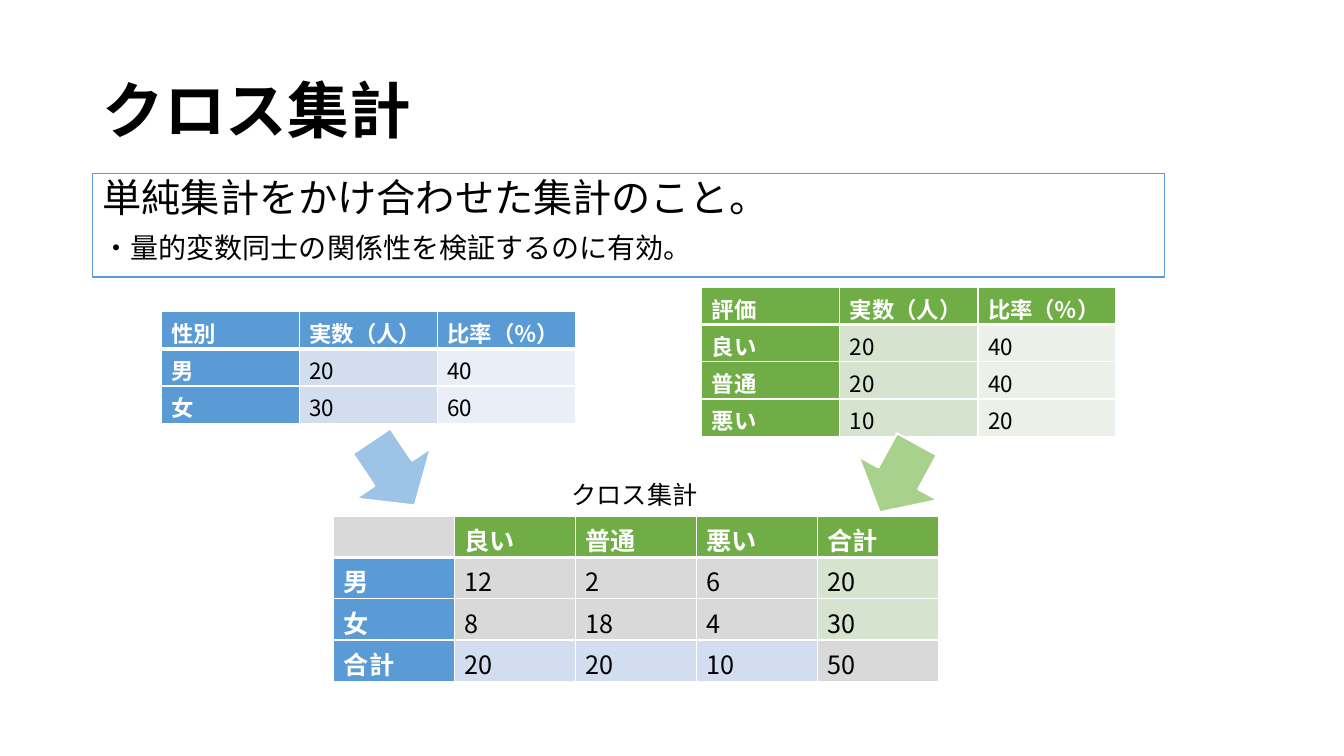
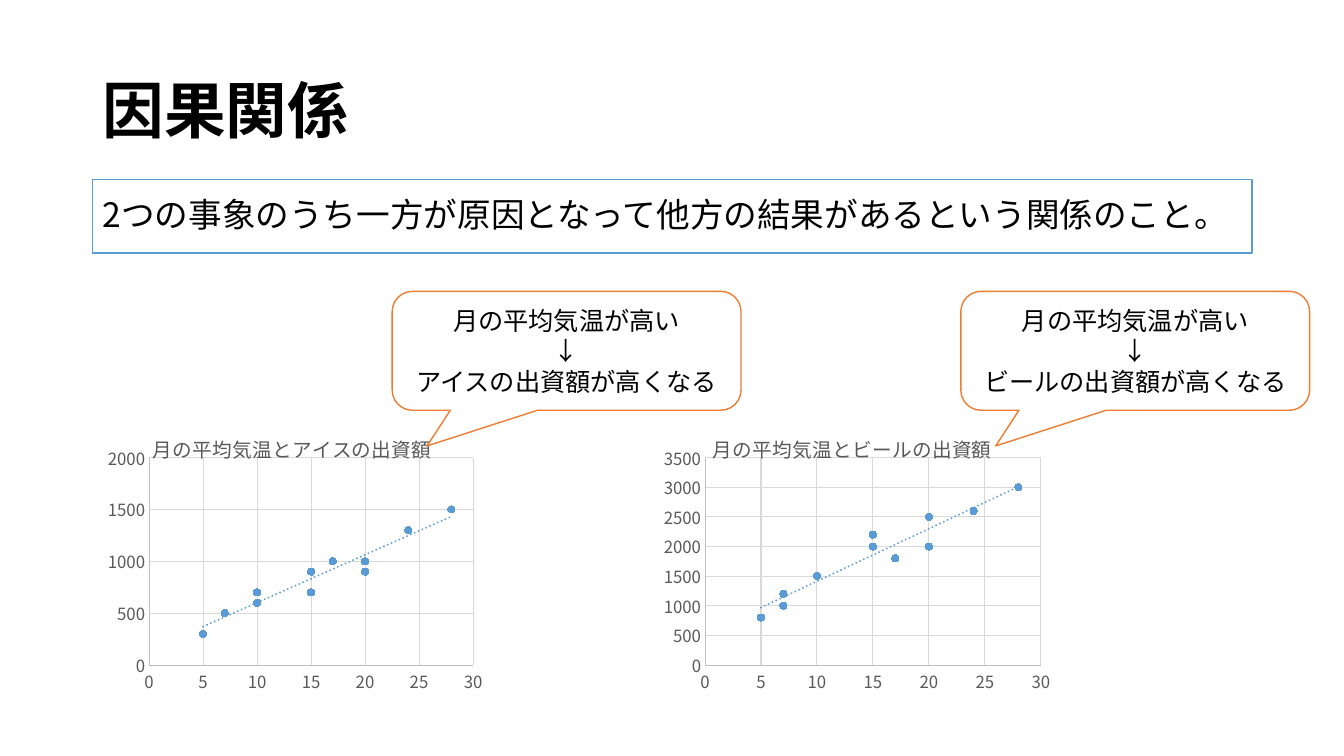
import dataclasses
import typing

import lxml.etree
import pptx
import pptx.chart.data
import pptx.dml.color
import pptx.enum.chart
import pptx.enum.dml
import pptx.enum.shapes
import pptx.enum.text
import pptx.oxml
import pptx.oxml.ns
import pptx.util

Inches = pptx.util.Inches
Pt = pptx.util.Pt
RGBColor = pptx.dml.color.RGBColor
Anchor = pptx.enum.text.MSO_ANCHOR
Align = pptx.enum.text.PP_ALIGN
Preset = pptx.enum.shapes.MSO_SHAPE
qn = pptx.oxml.ns.qn

FONT = "Noto Sans CJK JP"
BLACK = RGBColor(0x00, 0x00, 0x00)
WHITE = RGBColor(0xFF, 0xFF, 0xFF)
BLUE = RGBColor(0x5B, 0x9B, 0xD5)
BLUE_MID = RGBColor(0xD2, 0xDE, 0xEF)
BLUE_PALE = RGBColor(0xEA, 0xEF, 0xF7)
BLUE_ARROW = RGBColor(0x9D, 0xC3, 0xE6)
GREEN = RGBColor(0x70, 0xAD, 0x47)
GREEN_MID = RGBColor(0xD5, 0xE3, 0xCF)
GREEN_PALE = RGBColor(0xEB, 0xF1, 0xE9)
GREEN_ARROW = RGBColor(0xA9, 0xD1, 0x8E)
ORANGE = RGBColor(0xED, 0x7D, 0x31)
GREY = RGBColor(0xD9, 0xD9, 0xD9)
AXIS_GREY = RGBColor(0xBF, 0xBF, 0xBF)
LABEL_GREY = RGBColor(0x59, 0x59, 0x59)

Fills = tuple[tuple[RGBColor, ...], ...]
Rows = tuple[tuple[str, ...], ...]


@dataclasses.dataclass(frozen=True)
class Box:
    left: float
    top: float
    width: float
    height: float

    def emu(self) -> tuple[int, int, int, int]:
        return tuple(Inches(side) for side in dataclasses.astuple(self))


@dataclasses.dataclass(frozen=True)
class Tally:
    left: float
    top: float
    column_width: float
    row_height: float
    size: int
    rows: Rows
    fills: Fills


@dataclasses.dataclass(frozen=True)
class Arrow:
    box: Box
    rotation: float
    fill: RGBColor


@dataclasses.dataclass(frozen=True)
class Scatter:
    product: str
    box: Box
    title_x: float
    callout_left: float
    maximum: int
    temperatures: tuple[int, ...]
    amounts: tuple[int, ...]


def style_font(font: typing.Any, size: float, color: RGBColor, bold: bool = False) -> None:
    font.size = Pt(size)
    font.bold = bold
    font.color.rgb = color
    font.name = FONT
    lxml.etree.SubElement(font._rPr, qn("a:ea")).set("typeface", FONT)


def write(frame: typing.Any, *lines: str, sizes: tuple[float, ...] = (18,),
          color: RGBColor = BLACK, bold: bool = False, align: Align = Align.LEFT,
          anchor: Anchor | None = Anchor.TOP, wrap: bool = True,
          line_spacing: float | None = None, gap: float = 0) -> None:
    if anchor is not None:
        frame.vertical_anchor = anchor
        frame.word_wrap = wrap
    for index, line in enumerate(lines):
        paragraph = frame.add_paragraph() if index else frame.paragraphs[0]
        paragraph.alignment = align
        if line_spacing:
            paragraph.line_spacing = line_spacing
        if index and gap:
            paragraph.space_before = Pt(gap)
        run = paragraph.add_run()
        run.text = line
        style_font(run.font, sizes[min(index, len(sizes) - 1)], color, bold)


def add_outline(slide: typing.Any, preset: Preset, box: Box, line: RGBColor,
                width: float = 1, fill: RGBColor | None = None) -> typing.Any:
    shape = slide.shapes.add_shape(preset, *box.emu())
    shape.shadow.inherit = False
    if fill is None:
        shape.fill.background()
    else:
        shape.fill.solid()
        shape.fill.fore_color.rgb = fill
    shape.line.color.rgb = line
    shape.line.width = Pt(width)
    return shape


def add_titled_slide(deck: typing.Any, title: str) -> typing.Any:
    slide = deck.slides.add_slide(deck.slide_layouts[6])
    heading = slide.shapes.add_textbox(*Box(0.92, 0.4, 11.5, 1.45).emu())
    write(heading.text_frame, title, sizes=(44,), bold=True,
          anchor=Anchor.MIDDLE, line_spacing=0.9)
    return slide


def add_definition(slide: typing.Any, box: Box, *lines: str,
                   sizes: tuple[float, ...], anchor: Anchor) -> None:
    definition = add_outline(slide, Preset.RECTANGLE, box, BLUE)
    write(definition.text_frame, *lines, sizes=sizes, anchor=anchor,
          line_spacing=0.9, gap=10)


def set_borders(cell: typing.Any, top: float, bottom: float) -> None:
    properties = cell._tc.get_or_add_tcPr()
    for side, width in (("L", 1), ("R", 1), ("T", top), ("B", bottom)):
        border = lxml.etree.SubElement(properties, qn(f"a:ln{side}"), w=str(Pt(width)))
        solid = lxml.etree.SubElement(border, qn("a:solidFill"))
        lxml.etree.SubElement(solid, qn("a:srgbClr"), val=str(WHITE))


def add_tally(slide: typing.Any, tally: Tally) -> None:
    row_count, column_count = len(tally.rows), len(tally.rows[0])
    box = Box(tally.left, tally.top, tally.column_width * column_count,
              tally.row_height * row_count)
    table = slide.shapes.add_table(row_count, column_count, *box.emu()).table
    table.horz_banding = False
    for column in table.columns:
        column.width = Inches(tally.column_width)
    for r, (texts, fills) in enumerate(zip(tally.rows, tally.fills)):
        table.rows[r].height = Inches(tally.row_height)
        for c, (text, fill) in enumerate(zip(texts, fills)):
            cell = table.cell(r, c)
            set_borders(cell, 3 if r == 1 else 1, 3 if r == 0 else 1)
            cell.fill.solid()
            cell.fill.fore_color.rgb = fill
            heading = fill in (BLUE, GREEN)
            if text:
                write(cell.text_frame, text, sizes=(tally.size,), anchor=None,
                      color=WHITE if heading else BLACK, bold=heading)


def simple_tally(left: float, top: float, subject: str, counts: Rows,
                 shades: tuple[RGBColor, RGBColor, RGBColor]) -> Tally:
    rows = ((subject, "実数（人）", "比率（％）"),) + counts
    fills = ((shades[0],) * 3,) + (shades,) * len(counts)
    return Tally(left, top, 1.37, 0.37, 16, rows, fills)


def place(parent: typing.Any, x: float, y: float,
          size: tuple[float, float] | None = None) -> typing.Any:
    layout = lxml.etree.Element(qn("c:layout"))
    manual = lxml.etree.SubElement(layout, qn("c:manualLayout"))
    values = {"xMode": "edge", "yMode": "edge", "x": x, "y": y}
    if size:
        values = {"layoutTarget": "inner"} | values | {"w": size[0], "h": size[1]}
    for tag, value in values.items():
        lxml.etree.SubElement(manual, qn(f"c:{tag}"), val=str(value))
    for old in parent.findall(qn("c:layout")):
        parent.remove(old)
    return layout


def add_trend(series: typing.Any) -> None:
    trend = pptx.oxml.parse_xml(
        f'<c:trendline {pptx.oxml.ns.nsdecls("c", "a")}><c:spPr>'
        f'<a:ln w="{Pt(1.5)}" cap="rnd"><a:solidFill><a:srgbClr val="{BLUE}"/></a:solidFill>'
        '<a:prstDash val="sysDot"/></a:ln></c:spPr><c:trendlineType val="linear"/>'
        '<c:dispRSqr val="0"/><c:dispEq val="0"/></c:trendline>')
    series._element.find(qn("c:xVal")).addprevious(trend)


def style_axis(axis: typing.Any, maximum: int, step: int) -> None:
    axis.minimum_scale = 0
    axis.maximum_scale = maximum
    axis.major_unit = step
    axis.major_tick_mark = axis.minor_tick_mark = pptx.enum.chart.XL_TICK_MARK.NONE
    axis.has_major_gridlines = True
    for line, color in ((axis.format.line, AXIS_GREY),
                        (axis.major_gridlines.format.line, GREY)):
        line.color.rgb = color
        line.width = Pt(0.75)
    style_font(axis.tick_labels.font, 12, LABEL_GREY)


def add_scatter(slide: typing.Any, scatter: Scatter) -> None:
    data = pptx.chart.data.XyChartData()
    points = data.add_series("Series 1")
    for temperature, amount in zip(scatter.temperatures, scatter.amounts):
        points.add_data_point(temperature, amount)
    chart = slide.shapes.add_chart(pptx.enum.chart.XL_CHART_TYPE.XY_SCATTER,
                                   *scatter.box.emu(), data).chart
    style_font(chart.font, 10, BLACK)
    chart.has_legend = False
    chart.has_title = True
    write(chart.chart_title.text_frame, f"月の平均気温と{scatter.product}の出資額",
          sizes=(14,), color=LABEL_GREY, anchor=None, align=Align.CENTER)
    title = chart.chart_title._element
    title_layout = place(title, scatter.title_x, 0.06)
    title.find(qn("c:tx")).addnext(title_layout)
    plot_area = chart._chartSpace.chart.plotArea
    plot_area.insert(0, place(plot_area, 0.16, 0.16, (0.78, 0.7)))
    style_axis(chart.category_axis, 30, 5)
    style_axis(chart.value_axis, scatter.maximum, 500)
    plot = chart.plots[0]
    plot.vary_by_categories = False
    series = plot.series[0]
    series.smooth = False
    series.format.line.fill.background()
    series.marker.style = pptx.enum.chart.XL_MARKER_STYLE.CIRCLE
    series.marker.size = 5
    series.marker.format.fill.solid()
    series.marker.format.fill.fore_color.rgb = BLUE
    series.marker.format.line.color.rgb = BLUE
    add_trend(series)

    callout = add_outline(slide, Preset.ROUNDED_RECTANGULAR_CALLOUT,
                          Box(scatter.callout_left, 2.89, 3.46, 1.18), ORANGE)
    for index, value in enumerate((-0.4, 0.8, 0.17)):
        callout.adjustments[index] = value
    write(callout.text_frame, "月の平均気温が高い", "↓",
          f"{scatter.product}の出資額が高くなる", anchor=Anchor.MIDDLE, align=Align.CENTER)


CROSS = Tally(
    3.31, 5.12, 1.2, 0.41, 18,
    (("", "良い", "普通", "悪い", "合計"),
     ("男", "12", "2", "6", "20"),
     ("女", "8", "18", "4", "30"),
     ("合計", "20", "20", "10", "50")),
    ((GREY,) + (GREEN,) * 4,
     *(((BLUE,) + (GREY,) * 3 + (GREEN_MID,),) * 2),
     (BLUE,) + (BLUE_MID,) * 3 + (GREY,)))
GENDER = simple_tally(1.6, 3.09, "性別", (("男", "20", "40"), ("女", "30", "60")),
                      (BLUE, BLUE_MID, BLUE_PALE))
RATING = simple_tally(6.96, 2.85, "評価",
                      (("良い", "20", "40"), ("普通", "20", "40"), ("悪い", "10", "20")),
                      (GREEN, GREEN_MID, GREEN_PALE))
ARROWS = (Arrow(Box(3.45, 4.31, 0.9, 0.77), 326.1, BLUE_ARROW),
          Arrow(Box(8.46, 4.36, 0.9, 0.77), 28.7, GREEN_ARROW))
SCATTERS = (
    Scatter("アイス", Box(0.82, 4.07, 4.12, 2.94), 0.16, 3.89, 2000,
            (5, 7, 10, 15, 17, 20, 24, 28, 20, 15, 10, 7),
            (300, 500, 700, 900, 1000, 900, 1300, 1500, 1000, 700, 600, 500)),
    Scatter("ビール", Box(6.31, 4.07, 4.27, 2.94), 0.17, 9.53, 3500,
            (5, 7, 10, 15, 17, 20, 24, 28, 20, 15, 10, 7),
            (800, 1200, 1500, 2200, 1800, 2000, 2600, 3000, 2500, 2000, 1500, 1000)))


def build_cross_tabulation(deck: typing.Any) -> None:
    slide = add_titled_slide(deck, "クロス集計")
    add_definition(slide, Box(0.92, 1.72, 10.63, 1.03),
                   "単純集計をかけ合わせた集計のこと。",
                   "・量的変数同士の関係性を検証するのに有効。",
                   sizes=(28, 20), anchor=Anchor.TOP)
    for tally in (CROSS, GENDER, RATING):
        add_tally(slide, tally)
    for arrow in ARROWS:
        pointer = add_outline(slide, Preset.DOWN_ARROW, arrow.box, WHITE, 1.5, arrow.fill)
        pointer.rotation = arrow.rotation
    caption = slide.shapes.add_textbox(*Box(5.57, 4.71, 1.46, 0.4).emu())
    write(caption.text_frame, "クロス集計", wrap=False)


def build_causality(deck: typing.Any) -> None:
    slide = add_titled_slide(deck, "因果関係")
    add_definition(slide, Box(0.92, 1.78, 11.5, 0.73),
                   "2つの事象のうち一方が原因となって他方の結果があるという関係のこと。",
                   sizes=(24,), anchor=Anchor.MIDDLE)
    for scatter in SCATTERS:
        add_scatter(slide, scatter)


def main() -> None:
    deck = pptx.Presentation()
    deck.slide_width = Inches(13.33)
    deck.slide_height = Inches(7.5)
    build_cross_tabulation(deck)
    build_causality(deck)
    deck.save("out.pptx")


if __name__ == "__main__":
    main()
